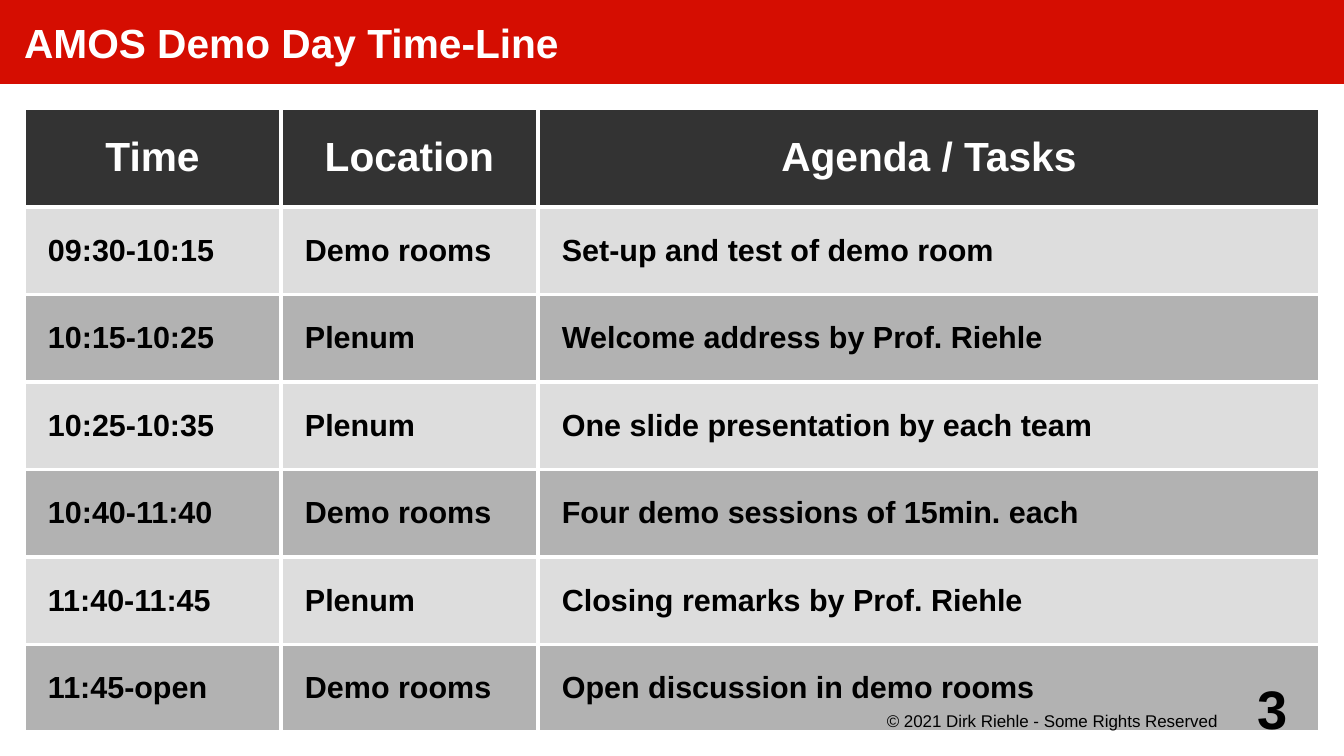
from dataclasses import dataclass

from lxml.etree import SubElement
from pptx import Presentation
from pptx.dml.color import RGBColor as RGB
from pptx.enum.text import MSO_ANCHOR as Anchor, MSO_AUTO_SIZE as AutoSize, PP_ALIGN as Align
from pptx.oxml.ns import qn
from pptx.util import Pt

EMU_PER_INCH = 914400
PX_PER_INCH = 122


@dataclass(frozen=True)
class Theme:
    font: str = "Arial"
    red: str = "D50D01"
    header: str = "333333"
    bands: tuple = ("DDDDDD", "B2B2B2")
    white: str = "FFFFFF"
    black: str = "000000"
    heading_size: int = 24
    cell_size: int = 18
    footer_size: int = 10
    number_size: int = 32
    border_width: float = 2.27


THEME = Theme()

COLUMN_WIDTHS = (257, 257, 782)
HEADER_HEIGHT = 99
BODY_HEIGHT = 525
HEADINGS = ("Time", "Location", "Agenda / Tasks")
AGENDA = (
    ("09:30-10:15", "Demo rooms", "Set-up and test of demo room"),
    ("10:15-10:25", "Plenum", "Welcome address by Prof. Riehle"),
    ("10:25-10:35", "Plenum", "One slide presentation by each team"),
    ("10:40-11:40", "Demo rooms", "Four demo sessions of 15min. each"),
    ("11:40-11:45", "Plenum", "Closing remarks by Prof. Riehle"),
    ("11:45-open", "Demo rooms", "Open discussion in demo rooms"),
)


def px(length):
    return round(length * EMU_PER_INCH / PX_PER_INCH)


def set_margins(target, left, top, right, bottom):
    target.margin_left, target.margin_top = px(left), px(top)
    target.margin_right, target.margin_bottom = px(right), px(bottom)


def write(frame, text, size, color, bold=True, align=Align.LEFT):
    frame.text = text
    para = frame.paragraphs[0]
    para.alignment = align
    para.font.name = THEME.font
    para.font.size = Pt(size)
    para.font.bold = bold
    para.font.color.rgb = RGB.from_string(color)


def fill_solid(target, color):
    target.fill.solid()
    target.fill.fore_color.rgb = RGB.from_string(color)


def add_title_bar(page, text):
    title = page.shapes.title
    title.left, title.top, title.width, title.height = 0, 0, px(1344), px(84)
    fill_solid(title, THEME.red)
    frame = title.text_frame
    frame.auto_size = AutoSize.NONE
    frame.vertical_anchor = Anchor.MIDDLE
    set_margins(frame, 24, 0, 0, 0)
    write(frame, text, THEME.heading_size, THEME.white)


def add_borders(cell):
    properties = cell._tc.get_or_add_tcPr()
    for side in ("a:lnL", "a:lnR", "a:lnT", "a:lnB"):
        line = SubElement(properties, qn(side), w=str(Pt(THEME.border_width)))
        SubElement(SubElement(line, qn("a:solidFill")), qn("a:srgbClr"), val=THEME.white)


def style_cell(cell, text, size, color, fill, align):
    add_borders(cell)
    fill_solid(cell, fill)
    cell.vertical_anchor = Anchor.MIDDLE
    set_margins(cell, 24, 6, 24, 6)
    write(cell.text_frame, text, size, color, align=align)


def add_agenda_table(page, left, top):
    rows = (HEADINGS, *AGENDA)
    table = page.shapes.add_table(
        len(rows), len(HEADINGS), px(left), px(top),
        px(sum(COLUMN_WIDTHS)), px(HEADER_HEIGHT + BODY_HEIGHT),
    ).table
    table.horz_banding = False
    for column, width in zip(table.columns, COLUMN_WIDTHS):
        column.width = px(width)
    for index, texts in enumerate(rows):
        if index == 0:
            height = HEADER_HEIGHT
            style = (THEME.heading_size, THEME.white, THEME.header, Align.CENTER)
        else:
            height = BODY_HEIGHT / len(AGENDA)
            style = (THEME.cell_size, THEME.black, THEME.bands[(index - 1) % 2], Align.LEFT)
        table.rows[index].height = px(height)
        for cell, text in zip(table.rows[index].cells, texts):
            style_cell(cell, text, *style)


def add_label(page, bounds, text, size, bold, anchor, margins):
    """Add a centred text box; bounds are left, top, width and height."""
    frame = page.shapes.add_textbox(*map(px, bounds)).text_frame
    frame.word_wrap = True
    frame.vertical_anchor = anchor
    set_margins(frame, *margins)
    write(frame, text, size, THEME.black, bold, Align.CENTER)


def main():
    deck = Presentation()
    deck.slide_width, deck.slide_height = px(1344), px(756)
    page = deck.slides.add_slide(deck.slide_layouts.get_by_name("Title Only"))
    add_title_bar(page, "AMOS Demo Day Time-Line")
    add_agenda_table(page, 24, 108)
    add_label(page, (865, 709, 384, 37), "© 2021 Dirk Riehle - Some Rights Reserved",
              THEME.footer_size, False, Anchor.TOP, (0, 2, 10, 0))
    add_label(page, (1225, 672, 96, 72), "3",
              THEME.number_size, True, Anchor.MIDDLE, (0, 0, 0, 0))
    deck.save("out.pptx")


if __name__ == "__main__":
    main()
